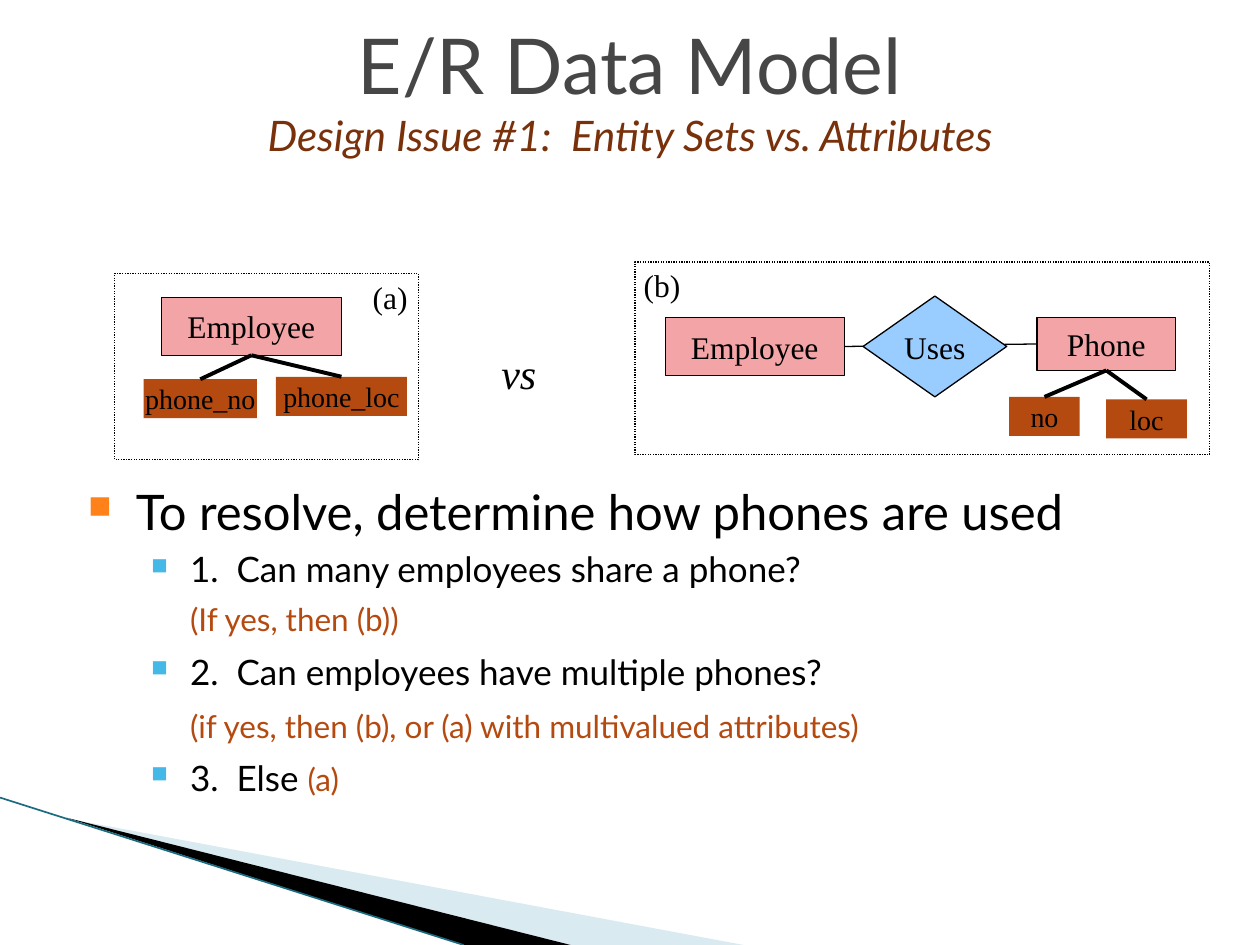
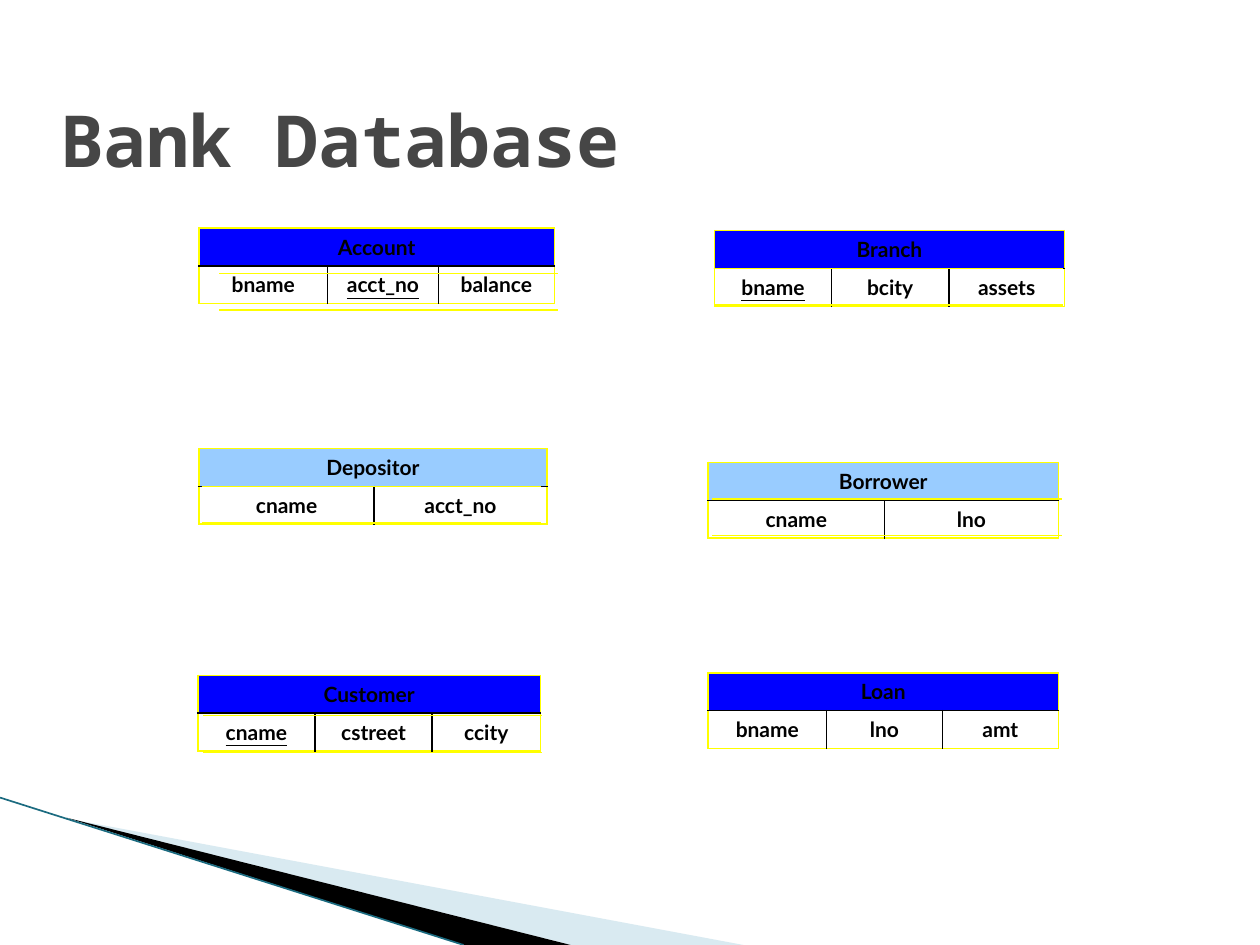
from lxml import etree
from pptx import Presentation
from pptx.dml.color import RGBColor
from pptx.enum.dml import MSO_LINE
from pptx.enum.shapes import MSO_CONNECTOR, MSO_SHAPE
from pptx.enum.text import MSO_ANCHOR, MSO_AUTO_SIZE, PP_ALIGN
from pptx.oxml.ns import qn
from pptx.util import Inches, Pt

WIDTH, HEIGHT = Inches(10), Inches(7.5)
CELL = WIDTH // 100
STRAIGHT = MSO_CONNECTOR.STRAIGHT
RECT, DIAMOND = MSO_SHAPE.RECTANGLE, MSO_SHAPE.DIAMOND
DOTTED = MSO_LINE.ROUND_DOT
MIDDLE = MSO_ANCHOR.MIDDLE
FIXED = MSO_AUTO_SIZE.NONE
LEFT, CENTER = PP_ALIGN.LEFT, PP_ALIGN.CENTER
TOP, WEST, BOTTOM, EAST = range(4)

BLACK = RGBColor(0, 0, 0)
GRAY = RGBColor(0x46, 0x46, 0x46)
BROWN = RGBColor(0x78, 0x31, 0x0B)
RUST = RGBColor(0xB5, 0x4A, 0x10)
PINK = RGBColor(0xF2, 0xA4, 0xA7)
SKY = RGBColor(0x99, 0xCC, 0xFF)
BLUE = RGBColor(0, 0, 0xFF)
YELLOW = RGBColor(0xFF, 0xFF, 0)
ORANGE = RGBColor(0xFF, 0x81, 0x19)
CYAN = RGBColor(0x44, 0xB9, 0xE8)
MIST = RGBColor(0xA0, 0xCB, 0xDC)
TEAL = RGBColor(0x1B, 0x6B, 0x80)

SANS, SERIF, MONO = "Lato", "Times New Roman", "Noto Sans Mono"


def grid(*cells):
    return [round(cell * CELL) for cell in cells]


def style(run, size, face, color, bold=False, italic=False):
    font = run.font
    font.size, font.name = Pt(size), face
    font.bold, font.italic = bold, italic
    font.color.rgb = color


def child(parent, tag, **attrs):
    return etree.SubElement(parent, qn(tag), attrs)


def rule(slide, start, end, color=BLACK, width=0.75):
    line = slide.shapes.add_connector(STRAIGHT, *grid(*start, *end))
    line.line.color.rgb = color
    line.line.width = Pt(width)
    child(line._element.spPr, "a:effectLst")
    return line


def join(slide, first, side, last, other, width):
    line = rule(slide, (0, 0), (1, 1), width=width)
    line.begin_connect(first, side)
    line.end_connect(last, other)


def wedge(slide, points, color):
    start, *rest = [grid(*point) for point in points]
    form = slide.shapes.build_freeform(*start)
    form.add_line_segments(rest)
    shape = form.convert_to_shape()
    shape.shadow.inherit = False
    shape.fill.solid()
    shape.fill.fore_color.rgb = color
    shape.line.fill.background()
    return shape


def swoosh(slide):
    pale = wedge(slide, [(5.5, 65), (59, 75), (45.3, 75)], MIST)
    tint = pale._element.spPr.find(qn("a:solidFill"))[0]
    child(tint, "a:alpha", val="40000")
    wedge(slide, [(5.3, 64.9), (45.3, 75), (36.8, 75)], BLACK)
    rule(slide, (0, 63.3), (36.8, 75), TEAL, 0.95)


def start(deck, box, text, align):
    slide = deck.slides.add_slide(deck.slide_layouts[5])
    title = slide.shapes.title
    title.left, title.top, title.width, title.height = grid(*box)
    frame = title.text_frame
    frame.text = text
    frame.word_wrap, frame.auto_size = True, FIXED
    frame.vertical_anchor = MIDDLE
    frame.paragraphs[0].alignment = align
    swoosh(slide)
    return slide, frame.paragraphs[0].runs


def block(slide, box, text="", fill=None, edge=True, size=18, kind=RECT):
    shape = slide.shapes.add_shape(kind, *grid(*box))
    shape.shadow.inherit = False
    if fill is None:
        shape.fill.background()
    else:
        shape.fill.solid()
        shape.fill.fore_color.rgb = fill
    if edge:
        shape.line.color.rgb = BLACK
        shape.line.width = Pt(0.75)
    else:
        shape.line.fill.background()
    if text:
        frame = shape.text_frame
        frame.text = text
        frame.word_wrap = False
        frame.vertical_anchor = MIDDLE
        frame.paragraphs[0].alignment = CENTER
        style(frame.paragraphs[0].runs[0], size, SERIF, BLACK)
    return shape


def label(slide, box, text, size=18, italic=False):
    frame = slide.shapes.add_textbox(*grid(*box)).text_frame
    frame.text = text
    frame.word_wrap = True
    frame.margin_right = 0
    style(frame.paragraphs[0].runs[0], size, SERIF, BLACK, italic=italic)


def panel(slide, box, name, spot):
    block(slide, box).line.dash_style = DOTTED
    label(slide, (box[0] + spot[0], box[1] + spot[1], 4.8, 4), name)


def fields(slide, owner, items):
    for text, *box in items:
        field = block(slide, box, text, RUST, False, 16)
        join(slide, owner, BOTTOM, field, TOP, 2.25)


def single(slide, x, y):
    panel(slide, (x, y, 24.1, 14.8), "(a)", (19.5, -0.1))
    staff = block(slide, (x + 3.7, y + 1.9, 14.3, 4.6), "Employee", PINK)
    fields(slide, staff, [("phone_no", x + 2.3, y + 8.4, 9, 3.1),
                          ("phone_loc", x + 12.8, y + 8.2, 10.4, 3.1)])


def linked(slide, x, y):
    panel(slide, (x, y, 45.6, 15.3), "(b)", (-0.3, -0.2))
    staff = block(slide, (x + 2.4, y + 4.4, 14.2, 4.6), "Employee", PINK)
    phone = block(slide, (x + 31.9, y + 4.4, 11, 4.2), "Phone", PINK)
    join(slide, staff, EAST, phone, WEST, 0.75)
    block(slide, (x + 18.1, y + 2.7, 11.4, 8), "Uses", SKY, kind=DIAMOND)
    fields(slide, phone, [("no", x + 29.7, y + 10.7, 5.6, 3.1),
                          ("loc", x + 37.4, y + 10.9, 6.4, 3.1)])


def indent(para, margin, hang=0, color=None):
    props = para._p.get_or_add_pPr()
    left, back = grid(margin, -hang)
    props.set("marL", str(left))
    props.set("indent", str(back))
    if color is None:
        child(props, "a:buNone")
        return
    child(child(props, "a:buClr"), "a:srgbClr", val=str(color))
    child(props, "a:buSzPct", val="65000")
    child(props, "a:buChar", char="■")


def advice(slide, box):
    frame = slide.shapes.add_textbox(*grid(*box)).text_frame
    frame.word_wrap = True
    head = frame.paragraphs[0]
    head.text = "To resolve, determine how phones are used"
    indent(head, 3.8, 3.8, ORANGE)
    style(head.runs[0], 28, SANS, BLACK)
    steps = [("1.  Can many employees share a phone?", True, 1),
             ("(If yes, then (b))", False, 1),
             ("2.  Can employees have multiple phones?", True, 1.1),
             ("(if yes, then (b), or (a) with multivalued attributes)",
              False, 1.1),
             ("3.  Else ", True, 1.1)]
    for text, asks, space in steps:
        para = frame.add_paragraph()
        para.text, para.level = text, 1
        para.line_spacing = space
        para.space_before = Pt(4.5 if asks else 6)
        if asks:
            indent(para, 8.1, 3.1, CYAN)
            style(para.runs[0], 20, SANS, BLACK)
        else:
            indent(para, 8.1)
            style(para.runs[0], 18, SANS, RUST)
    tail = para.add_run()
    tail.text = "(a)"
    style(tail, 18, SANS, RUST)


def design(deck):
    text = "E/R Data Model\vDesign Issue #1:  Entity Sets vs. Attributes"
    slide, runs = start(deck, (0, 0.8, 100, 12.5), text, CENTER)
    style(runs[0], 44, SANS, GRAY)
    style(runs[1], 24, SANS, BROWN, italic=True)
    single(slide, 9.1, 21.7)
    label(slide, (38.8, 27.1, 4.8, 5), "vs", 24, True)
    linked(slide, 50.4, 20.8)
    advice(slide, (6, 37.7, 87.1, 27))


def border(cell, **sides):
    props = cell._tc.get_or_add_tcPr()
    for side in "LRTB":
        line = child(props, "a:ln" + side, w=str(Pt(1)))
        color = child(line, "a:solidFill")
        child(color, "a:srgbClr", val=str(sides[side]))


def schema(slide, x, y, name, fill, names, spans, key=None):
    last = len(names) - 1
    frame = slide.shapes.add_table(2, last + 1, *grid(x, y, sum(spans), 6))
    table = frame.table
    table.first_row = table.horz_banding = False
    for column, span in zip(table.columns, spans):
        column.width = grid(span)[0]
    table.cell(0, 0).merge(table.cell(0, last))
    for row in range(2):
        for col, text in enumerate(names):
            cell = table.cell(row, col)
            border(cell,
                   L=YELLOW if row == 0 or col == 0 else BLACK,
                   R=YELLOW if row == 0 or col == last else BLACK,
                   T=BLACK if row else YELLOW,
                   B=YELLOW if row else BLACK)
            if row:
                cell.fill.background()
            else:
                cell.fill.solid()
                cell.fill.fore_color.rgb = fill
                if col:
                    continue
                text = name
            cell.text = text
            para = cell.text_frame.paragraphs[0]
            para.alignment = CENTER
            style(para.runs[0], 12, SANS, BLACK, bold=True)
            if row and text == key:
                para.runs[0].font.underline = True


def pair(slide, x, y, length):
    for top in (y, y + 2.9):
        rule(slide, (x, top), (x + length, top), YELLOW)


def bank(deck):
    slide, runs = start(deck, (3.8, 3.5, 90, 15), "Bank Database", LEFT)
    style(runs[0], 41, MONO, GRAY, bold=True)
    tables = [
        (15.8, 18.1, "Account", BLUE, ["bname", "acct_no", "balance"],
         [10.2, 8.8, 9.2], "acct_no"),
        (15.8, 35.6, "Depositor", SKY, ["cname", "acct_no"], [13.9, 13.7]),
        (15.7, 53.6, "Customer", BLUE, ["cname", "cstreet", "ccity"],
         [9.3, 9.3, 8.6], "cname"),
        (56.7, 18.3, "Branch", BLUE, ["bname", "bcity", "assets"],
         [9.3, 9.3, 9.2], "bname"),
        (56.2, 36.7, "Borrower", SKY, ["cname", "lno"], [14, 13.8]),
        (56.2, 53.4, "Loan", BLUE, ["bname", "lno", "amt"],
         [9.4, 9.2, 9.2])]
    for table in tables:
        schema(slide, *table)
    for spot in [(17.4, 21.7, 26.9), (16, 38.6, 26.9), (16.1, 56.8, 26.9),
                 (56.7, 21.3, 27.7), (56.5, 39.6, 27.8)]:
        pair(slide, *spot)


def main():
    deck = Presentation()
    deck.slide_width, deck.slide_height = WIDTH, HEIGHT
    design(deck)
    bank(deck)
    deck.save("out.pptx")


if __name__ == "__main__":
    main()
